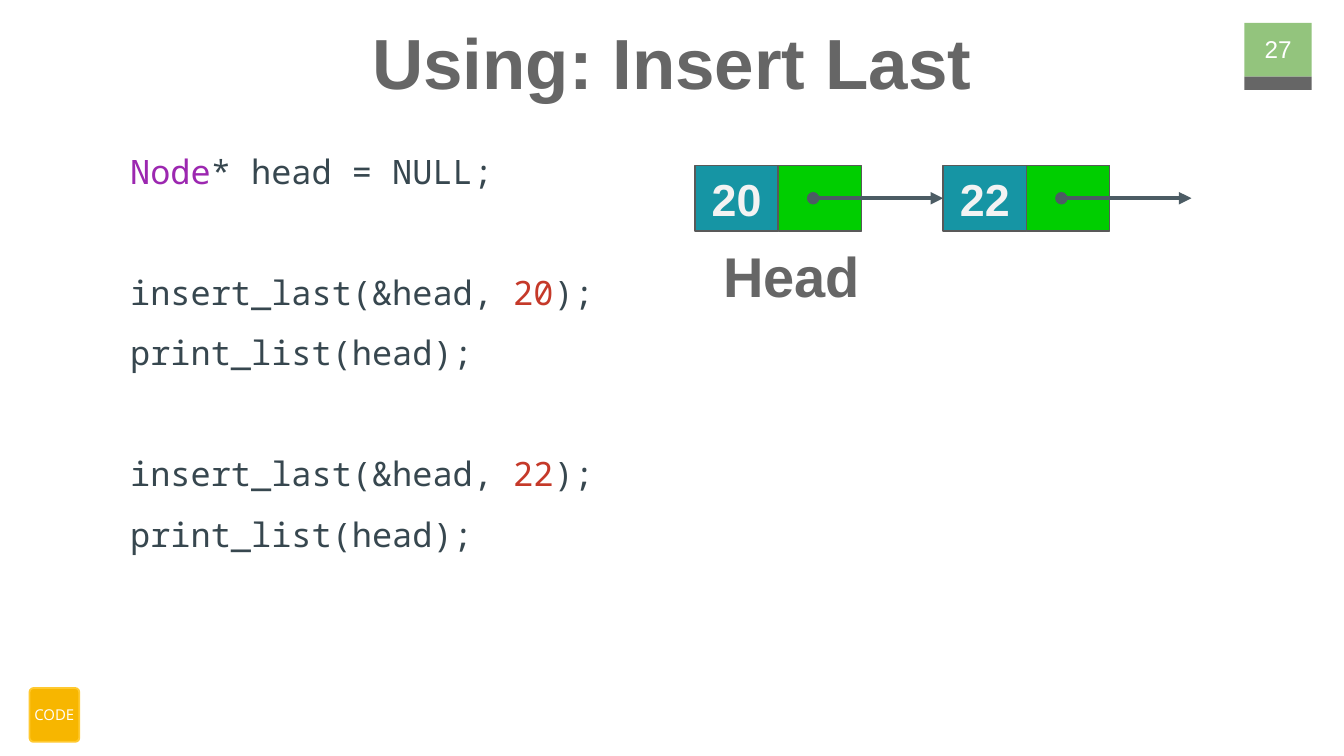
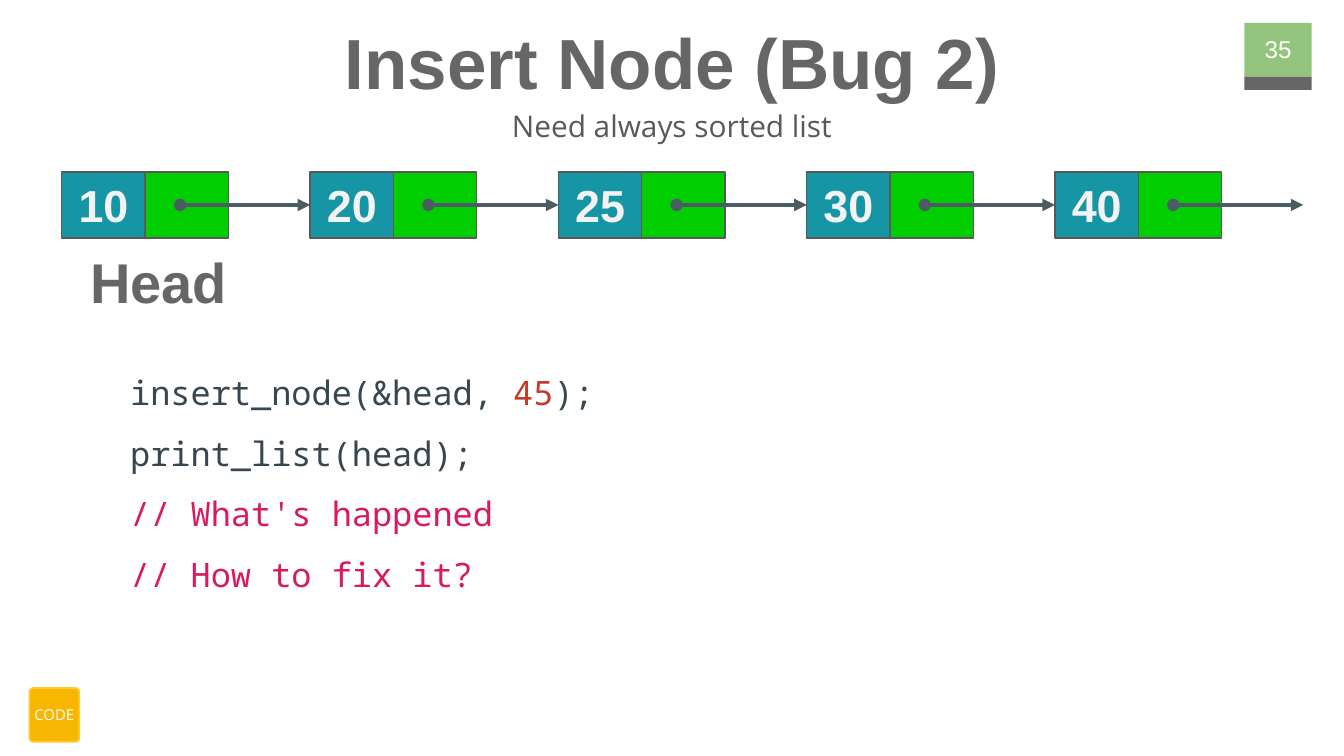
from dataclasses import dataclass
from lxml.etree import SubElement
from pptx import Presentation
from pptx.dml.color import RGBColor
from pptx.enum.shapes import MSO_CONNECTOR as Connector, MSO_SHAPE as Preset
from pptx.enum.text import MSO_ANCHOR as Anchor, PP_ALIGN as Align
from pptx.oxml.ns import qn
from pptx.util import Inches, Pt


@dataclass(frozen=True)
class Theme:
    heading: str = "Arial"
    body: str = "Open Sans"
    mono: str = "Noto Sans Mono"
    title_size: int = 38
    head_size: int = 30
    value_size: int = 24
    code_size: int = 18
    subtitle_size: int = 16
    number_size: int = 13
    badge_size: int = 8
    gray: str = "666666"
    green: str = "93C47D"
    white: str = "FFFFFF"
    amber: str = "F7B600"
    amber_line: str = "FFC92F"
    subtitle: str = "595959"
    value_fill: str = "1695A4"
    pointer_fill: str = "00CE00"
    cell_line: str = "595959"
    value_text: str = "F3F3F3"
    arrow: str = "4C5C64"
    code: str = "37474F"
    type_name: str = "9C27B0"
    number: str = "C53929"
    comment: str = "D81B60"


theme = Theme()


def add_block(page, preset, place, fill, line=None, width=0.75):
    block = page.shapes.add_shape(preset, *map(Inches, place))
    block.shadow.inherit = False
    block.fill.solid()
    block.fill.fore_color.rgb = RGBColor.from_string(fill)
    if line:
        block.line.color.rgb = RGBColor.from_string(line)
        block.line.width = Pt(width)
    else:
        block.line.fill.background()
    return block


def write(box, text, font, size, color, bold=False, anchor=Anchor.MIDDLE, inset=0.1):
    frame = box.text_frame
    frame.word_wrap = inset > 0
    frame.vertical_anchor = anchor
    frame.margin_left = frame.margin_right = Inches(inset)
    frame.margin_top = frame.margin_bottom = Inches(inset)
    para = frame.paragraphs[0]
    para.text = text
    para.alignment = Align.CENTER
    para.font.name = font
    para.font.size = Pt(size)
    para.font.bold = bold
    para.font.color.rgb = RGBColor.from_string(color)
    return para


cell_width, cell_height = 0.62, 0.49
node_step, arrow_start = 7.39 / 4, 0.88
blank_line = Pt(32.4)

print_call = [("print_list(head);", theme.code)]

pages = [
    {
        "title": "Using: Insert Last",
        "number": "27",
        "subtitle": None,
        "list_at": (5.17, 1.23),
        "values": [20, 22],
        "code_at": (0.87, 0.87, 8.79, 4.49),
        "code": [
            [("Node", theme.type_name), ("* head = NULL;", theme.code)],
            [("insert_last(&head, ", theme.code), ("20", theme.number), (");", theme.code)],
            print_call,
            [("insert_last(&head, ", theme.code), ("22", theme.number), (");", theme.code)],
            print_call,
        ],
        "gaps_before": {1, 3},
    },
    {
        "title": "Insert Node (Bug 2)",
        "number": "35",
        "subtitle": "Need always sorted list",
        "list_at": (0.46, 1.28),
        "values": [10, 20, 25, 30, 40],
        "code_at": (0.87, 2.52, 8.79, 2.25),
        "code": [
            [("insert_node(&head, ", theme.code), ("45", theme.number), (");", theme.code)],
            print_call,
            [("// What's happened", theme.comment)],
            [("// How to fix it?", theme.comment)],
        ],
        "gaps_before": set(),
    },
]

deck = Presentation()
deck.slide_width = Inches(10)
deck.slide_height = Inches(10 * 9 / 16)

for content in pages:
    page = deck.slides.add_slide(deck.slide_layouts[6])

    add_block(page, Preset.RECTANGLE, (9.26, 0.17, 0.5, 0.4), theme.green)
    add_block(page, Preset.RECTANGLE, (9.26, 0.57, 0.5, 0.1), theme.gray)
    badge = add_block(page, Preset.ROUNDED_RECTANGLE, (0.22, 5.12, 0.37, 0.4),
                      theme.amber, theme.amber_line, 1)
    badge.adjustments[0] = 0.08
    write(badge, "CODE", theme.body, theme.badge_size, theme.white, inset=0)

    title = page.shapes.add_textbox(*map(Inches, (0.34, 0.04, 9.32, 0.63)))
    write(title, content["title"], theme.heading, theme.title_size, theme.gray,
          bold=True, anchor=Anchor.TOP)
    number = page.shapes.add_textbox(*map(Inches, (9.21, 0.15, 0.6, 0.43)))
    write(number, content["number"], theme.heading, theme.number_size, theme.white)

    if content["subtitle"]:
        subtitle = page.shapes.add_textbox(*map(Inches, (2.46, 0.66, 5.08, 0.37)))
        para = write(subtitle, content["subtitle"], theme.body, theme.subtitle_size,
                     theme.subtitle, anchor=Anchor.TOP)
        para.line_spacing = 1.15
        para.space_after = Pt(16)

    code = page.shapes.add_textbox(*map(Inches, content["code_at"]))
    frame = code.text_frame
    frame.word_wrap = True
    frame.margin_left = frame.margin_right = Inches(0.1)
    frame.margin_top = frame.margin_bottom = Inches(0.1)
    for index, pieces in enumerate(content["code"]):
        para = frame.add_paragraph() if index else frame.paragraphs[0]
        para.line_spacing = 1.5
        para.space_before = blank_line if index in content["gaps_before"] else Pt(0)
        para.font.name = theme.mono
        para.font.size = Pt(theme.code_size)
        for text, color in pieces:
            span = para.add_run()
            span.text = text
            span.font.color.rgb = RGBColor.from_string(color)

    list_left, top = content["list_at"]
    middle = top + cell_height / 2
    arrow = None
    for index, value in enumerate(content["values"]):
        left = list_left + index * node_step
        value_cell = add_block(page, Preset.RECTANGLE, (left, top, cell_width, cell_height),
                               theme.value_fill, theme.cell_line)
        write(value_cell, str(value), theme.heading, theme.value_size, theme.value_text, bold=True)
        if arrow is not None:
            arrow.end_connect(value_cell, 1)
        add_block(page, Preset.RECTANGLE, (left + cell_width, top, cell_width, cell_height),
                  theme.pointer_fill, theme.cell_line)
        arrow = page.shapes.add_connector(
            Connector.STRAIGHT, Inches(left + arrow_start), Inches(middle),
            Inches(left + node_step), Inches(middle))
        arrow.line.color.rgb = RGBColor.from_string(theme.arrow)
        arrow.line.width = Pt(2.25)
        outline = arrow.line._get_or_add_ln()
        SubElement(outline, qn("a:headEnd"), type="oval")
        SubElement(outline, qn("a:tailEnd"), type="triangle")
        SubElement(arrow._element.spPr, qn("a:effectLst"))

    head = page.shapes.add_textbox(*map(Inches, (list_left, top + 0.63, 1.44, 0.37)))
    write(head, "Head", theme.heading, theme.head_size, theme.gray, bold=True)

deck.save("out.pptx")
